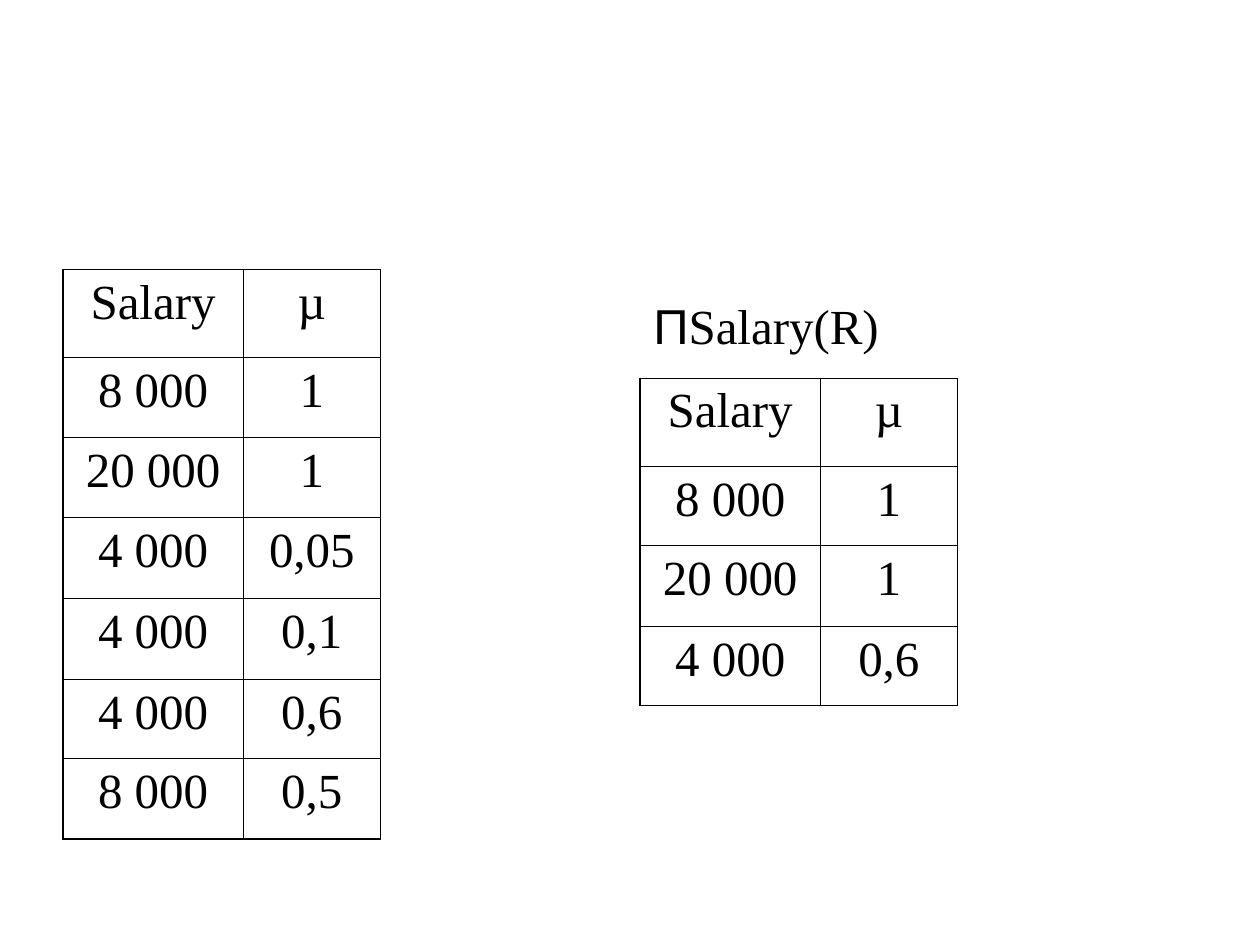
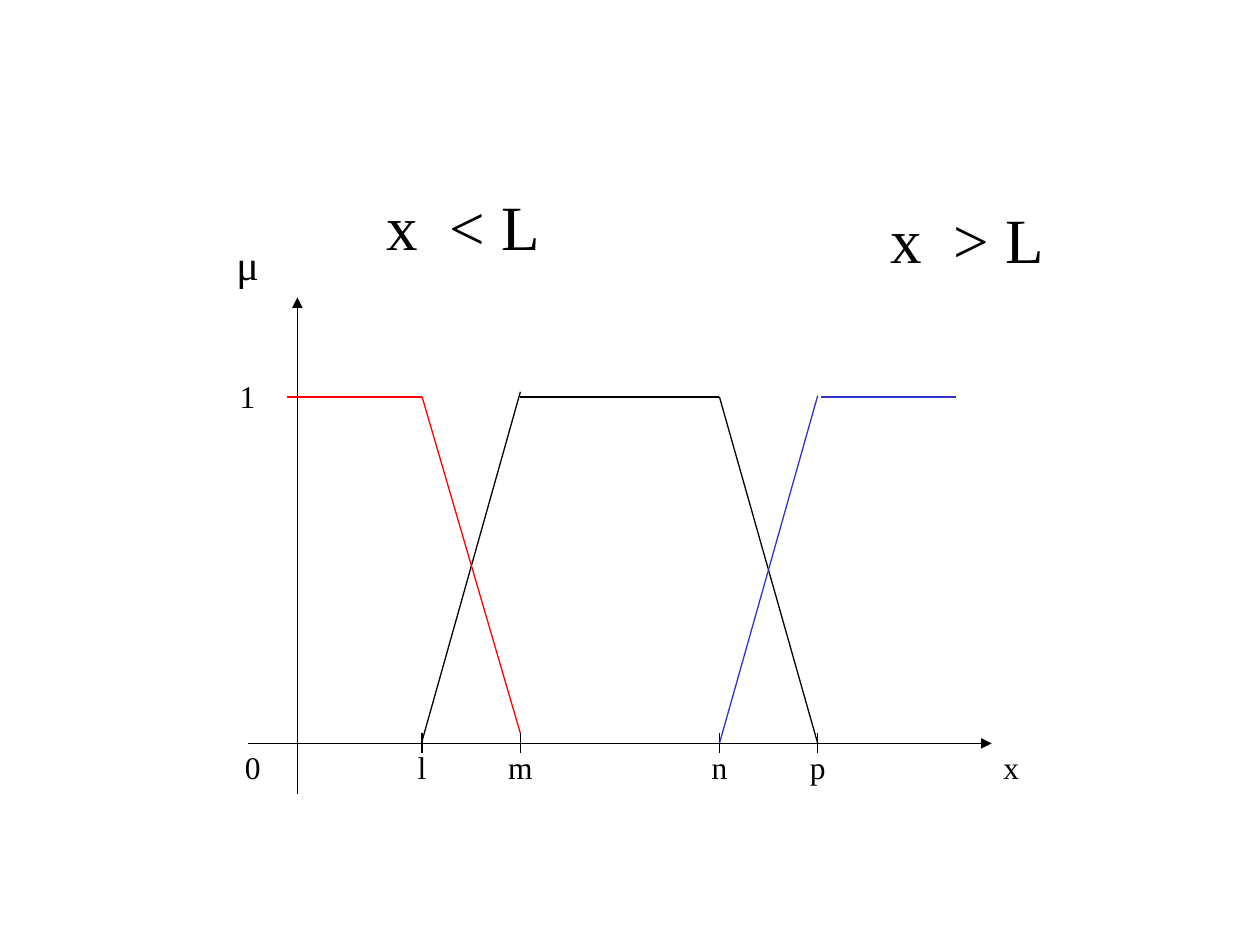
from dataclasses import dataclass
from typing import NamedTuple

from lxml.etree import SubElement
from pptx import Presentation
from pptx.dml.color import RGBColor
from pptx.enum.shapes import MSO_CONNECTOR
from pptx.enum.text import MSO_AUTO_SIZE, PP_ALIGN
from pptx.oxml.ns import qn
from pptx.slide import Slide
from pptx.table import _Cell
from pptx.util import Inches, Pt

SERIF, SANS = "Times New Roman", "Arial"
BLACK, RED, BLUE = "000000", "FF0000", "3333CC"
THIN, THICK = 0.45, 1.08
COLUMN_WIDTHS = (1.43, 0.57, 0.52)
HEADINGS = ("Salary", "µ")
BASELINE, TOP = 5.9, 3.15
TICKS = {"l": 3.35, "m": 4.13, "n": 5.71, "p": 6.49}
TICK_HALF = 0.08
LABEL_SIZE = 0.31
LABEL_TOP = 5.94


class Span(NamedTuple):
    """A run of text in one font."""
    text: str
    font: str = SERIF
    spacing: float = 0


@dataclass
class Relation:
    """A salary table with a caption row above its headings."""
    left: float
    top: float
    heights: tuple[float, ...]
    caption: tuple[Span, ...]
    records: tuple[tuple[str, str], ...]


@dataclass
class Segment:
    """A straight line between two points."""
    start: tuple[float, float]
    end: tuple[float, float]
    colour: str = BLACK
    arrow: bool = False


@dataclass
class Label:
    """A centred mark beside an axis."""
    text: str
    left: float
    top: float = LABEL_TOP
    width: float = LABEL_SIZE
    height: float = LABEL_SIZE
    size: float = 18


@dataclass
class Condition:
    """A large comparison above the diagram."""
    sign: str
    left: float
    top: float


RELATIONS = (
    Relation(0.5, 1.5, (0.64, 0.7, 0.63, 0.64, 0.64, 0.64, 0.63, 0.64), (),
             (("8 000", "1"), ("20 000", "1"), ("4 000", "0,05"),
              ("4 000", "0,1"), ("4 000", "0,6"), ("8 000", "0,5"))),
    Relation(5.08, 2.33, (0.67, 0.7, 0.63, 0.64, 0.63),
             (Span("Π", SANS), Span("Salary(R)")),
             (("8 000", "1"), ("20 000", "1"), ("4 000", "0,6"))),
)

AXES = (
    Segment((2.36, 6.3), (2.36, 2.36), arrow=True),
    Segment((1.97, BASELINE), (7.87, BASELINE), arrow=True),
)

MEMBERSHIP = (
    Segment((TICKS["n"], TOP), (TICKS["p"], BASELINE)),
    Segment((TICKS["l"], 5.88), (TICKS["m"], 3.11)),
    Segment((TICKS["m"], TOP), (TICKS["n"], TOP)),
    Segment((2.28, TOP), (TICKS["l"], TOP), RED),
    Segment((TICKS["l"], TOP), (TICKS["m"], 5.82), RED),
    Segment((TICKS["n"], BASELINE), (TICKS["p"], 3.14), BLUE),
    Segment((6.52, TOP), (7.59, TOP), BLUE),
)

AXIS_LABELS = (
    Label("0", 1.85),
    Label("1", 1.81, 2.99),
    Label("μ", 1.77, 1.89, 0.39, 0.47, 24),
    Label("x", 7.87),
)

CONDITIONS = (Condition("<", 2.34, 1.44), Condition(">", 6.34, 1.54))


def rgb(colour: str) -> RGBColor:
    """Turn a hex string into a colour."""
    return RGBColor.from_string(colour)


def write(para, spans: tuple[Span, ...], size: float, align=PP_ALIGN.CENTER) -> None:
    """Fill a paragraph run by run."""
    para.alignment = align
    for span in spans:
        run = para.add_run()
        run.text = span.text
        run.font.name = span.font
        run.font.size = Pt(size)
        run.font.color.rgb = rgb(BLACK)
        if span.spacing:
            run._r.get_or_add_rPr().set("spc", str(int(span.spacing * 100)))


def set_borders(cell: _Cell, left: float, right: float, top: float, bottom: float) -> None:
    """Draw the four cell borders; a zero width hides one."""
    properties = cell._tc.get_or_add_tcPr()
    for side, width in zip("LRTB", (left, right, top, bottom)):
        line = SubElement(properties, qn(f"a:ln{side}"), w=str(int(Pt(width))))
        if width:
            fill = SubElement(line, qn("a:solidFill"))
            SubElement(fill, qn("a:srgbClr"), val=BLACK)
        else:
            SubElement(line, qn("a:noFill"))


def draw_relation(page: Slide, relation: Relation) -> None:
    """Draw one salary table."""
    heights = relation.heights
    table = page.shapes.add_table(
        len(heights), len(COLUMN_WIDTHS), Inches(relation.left), Inches(relation.top),
        Inches(sum(COLUMN_WIDTHS)), Inches(sum(heights))).table
    table.first_row = table.horz_banding = False
    for column, width in zip(table.columns, COLUMN_WIDTHS):
        column.width = Inches(width)
    for row, height in zip(table.rows, heights):
        row.height = Inches(height)

    last = len(heights) - 1
    for row in range(len(heights)):
        bottom = THICK if row == last else THIN
        for column in range(len(COLUMN_WIDTHS)):
            cell = table.cell(row, column)
            if row == 0:
                set_borders(cell, 0, 0, 0, THIN)
            elif column == 0:
                set_borders(cell, THICK, THIN, THIN, bottom)
            else:
                set_borders(cell, THIN, THICK, THIN, bottom)
            cell.fill.background()

    table.cell(0, 0).merge(table.cell(0, 1))
    write(table.cell(0, 0).text_frame.paragraphs[0], relation.caption, 28)
    for row, record in enumerate((HEADINGS, *relation.records), start=1):
        table.cell(row, 1).merge(table.cell(row, 2))
        for column, text in enumerate(record):
            write(table.cell(row, column).text_frame.paragraphs[0], (Span(text),), 28)


def draw_segment(page: Slide, segment: Segment) -> None:
    """Draw a line, with an arrowhead at its end if asked."""
    points = [Inches(value) for value in (*segment.start, *segment.end)]
    connector = page.shapes.add_connector(MSO_CONNECTOR.STRAIGHT, *points)
    connector.line.color.rgb = rgb(segment.colour)
    connector.line.width = Pt(0.75)
    if segment.arrow:
        SubElement(connector.line._get_or_add_ln(), qn("a:tailEnd"), type="triangle")
    SubElement(connector._element.spPr, qn("a:effectLst"))


def draw_label(page: Slide, label: Label) -> None:
    """Draw an axis label without margins."""
    box = page.shapes.add_textbox(Inches(label.left), Inches(label.top),
                                  Inches(label.width), Inches(label.height))
    frame = box.text_frame
    frame.word_wrap = True
    frame.margin_left = frame.margin_right = frame.margin_top = frame.margin_bottom = 0
    write(frame.paragraphs[0], (Span(label.text),), label.size)


def draw_condition(page: Slide, condition: Condition) -> None:
    """Draw a comparison, indented inside its box."""
    box = page.shapes.add_textbox(Inches(condition.left), Inches(condition.top),
                                  Inches(3.07), Inches(0.7))
    frame = box.text_frame
    frame.word_wrap = True
    frame.auto_size = MSO_AUTO_SIZE.SHAPE_TO_FIT_TEXT
    frame.margin_left = Inches(0.73)
    spans = (Span("x"), Span(" ", spacing=9), Span(f"{condition.sign} L"))
    write(frame.paragraphs[0], spans, 36, PP_ALIGN.LEFT)


def build_projection(page: Slide) -> None:
    """Build the slide with the two salary tables."""
    for relation in RELATIONS:
        draw_relation(page, relation)


def build_membership(page: Slide) -> None:
    """Build the slide with the membership diagram."""
    ticks = [Segment((x, BASELINE - TICK_HALF), (x, BASELINE + TICK_HALF))
             for x in TICKS.values()]
    tick_labels = [Label(name, x - LABEL_SIZE / 2) for name, x in TICKS.items()]
    for segment in (*AXES, *ticks, *MEMBERSHIP):
        draw_segment(page, segment)
    for label in (*AXIS_LABELS, *tick_labels):
        draw_label(page, label)
    for condition in CONDITIONS:
        draw_condition(page, condition)


def main() -> None:
    """Build and save the deck."""
    deck = Presentation()
    deck.slide_width, deck.slide_height = Inches(10), Inches(7.5)
    for build in (build_projection, build_membership):
        build(deck.slides.add_slide(deck.slide_layouts[6]))
    deck.save("out.pptx")


if __name__ == "__main__":
    main()
